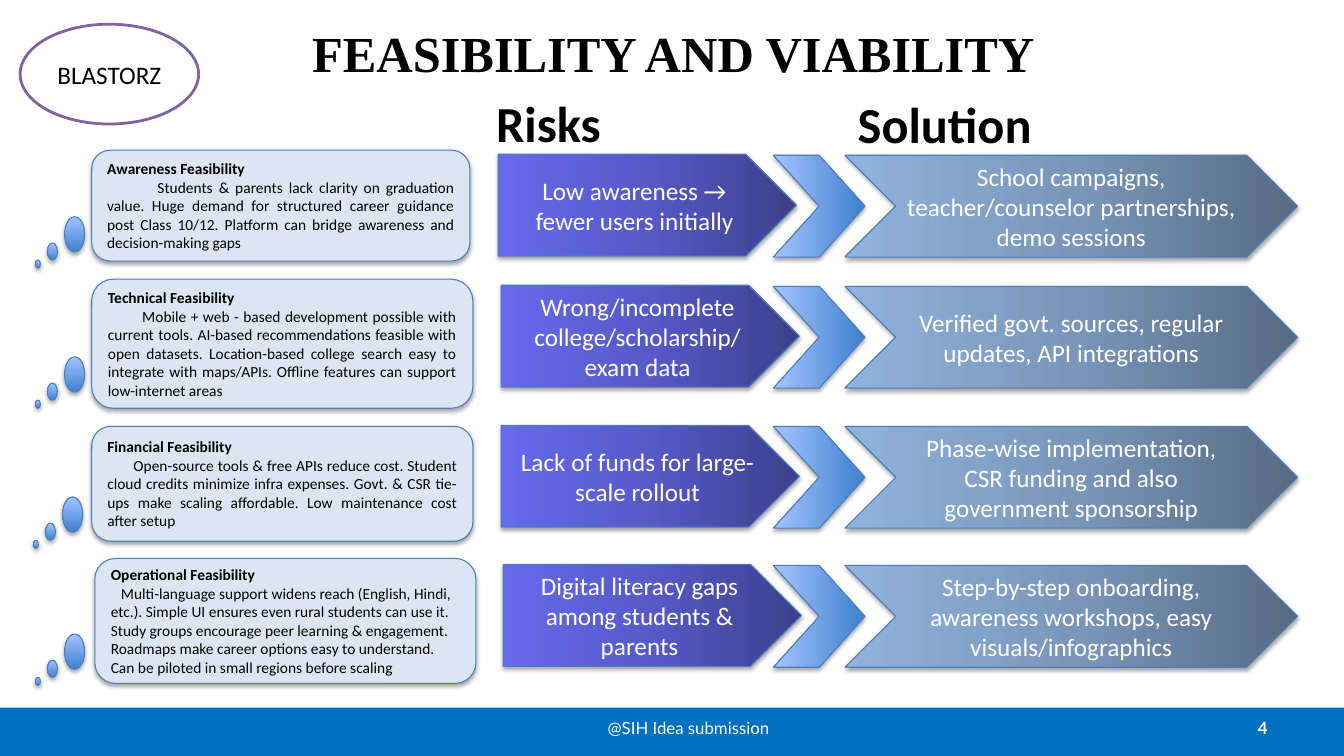
"""Builds the feasibility and viability slide: four feasibility notes, each with its risk and solution."""
from lxml import etree
from pptx import Presentation
from pptx.dml.color import RGBColor
from pptx.enum.shapes import MSO_SHAPE
from pptx.enum.text import MSO_ANCHOR, PP_ALIGN
from pptx.oxml.ns import qn
from pptx.util import Inches, Pt

LEFT, CENTER, RIGHT, JUSTIFY = PP_ALIGN.LEFT, PP_ALIGN.CENTER, PP_ALIGN.RIGHT, PP_ALIGN.JUSTIFY
MIDDLE = MSO_ANCHOR.MIDDLE
RECTANGLE, OVAL, ROUNDED = MSO_SHAPE.RECTANGLE, MSO_SHAPE.OVAL, MSO_SHAPE.ROUNDED_RECTANGLE
PENTAGON, CHEVRON = MSO_SHAPE.PENTAGON, MSO_SHAPE.CHEVRON

BLACK, WHITE = RGBColor(0, 0, 0), RGBColor(255, 255, 255)
FOOTER_BLUE = RGBColor(0x00, 0x70, 0xC0)
PURPLE = RGBColor(0x80, 0x64, 0xA2)
PALE_BLUE = RGBColor(0xDC, 0xE6, 0xF2)
OUTLINE = RGBColor(0x4B, 0x7E, 0xBC)
SKY = [(0, RGBColor(0x3F, 0x80, 0xCE)), (100, RGBColor(0xA4, 0xC4, 0xFF))]
INDIGO = [(0, RGBColor(0x3D, 0x3F, 0x8C)), (50, RGBColor(0x56, 0x59, 0xC7)), (100, RGBColor(0x66, 0x6A, 0xEC))]
STEEL = [(0, RGBColor(0x56, 0x6A, 0x83)), (50, RGBColor(0x7A, 0x97, 0xBA)), (100, RGBColor(0x90, 0xB3, 0xDC))]

BODY_FONT, TITLE_FONT, FOOTER_FONT = "Calibri", "Times New Roman", "Lato"
SLIDE_WIDTH, SLIDE_HEIGHT = 13.33, 7.5
FOOTER_TOP = 7.02
ARROW_HEIGHT = 1.01
RISK_WIDTH = 2.96
LINK_LEFT, LINK_WIDTH = 7.67, 0.91
SOLUTION_LEFT, SOLUTION_WIDTH = 8.38, 4.49
BUBBLES = [(0, 0, 0.2, 0.35), (-0.17, 0.26, 0.1, 0.17), (-0.29, 0.43, 0.05, 0.08)]

ROWS = [
    {
        "heading": "Awareness Feasibility",
        "note": "Students & parents lack clarity on graduation value. Huge demand for structured career guidance "
                "post Class 10/12. Platform can bridge awareness and decision-making gaps",
        "risk": ["Low awareness →", "fewer users initially"],
        "solution": "School campaigns, teacher/counselor partnerships, demo sessions",
        "note_area": (0.91, 1.49, 3.75, 1.1), "indent": 0.5, "align": JUSTIFY,
        "bubble": (0.64, 2.15), "arrow": (4.94, 1.53),
    },
    {
        "heading": "Technical Feasibility",
        "note": "Mobile + web - based development possible with current tools. AI-based recommendations feasible "
                "with open datasets. Location-based college search easy to integrate with maps/APIs. "
                "Offline features can support low-internet areas",
        "risk": ["Wrong/incomplete college/scholarship/", "exam data"],
        "solution": "Verified govt. sources, regular updates, API integrations",
        "note_area": (0.91, 2.77, 3.78, 1.28), "indent": 0.34, "align": JUSTIFY,
        "bubble": (0.64, 3.54), "arrow": (4.97, 2.83),
    },
    {
        "heading": "Financial Feasibility",
        "note": "Open-source tools & free APIs reduce cost. Student cloud credits minimize infra expenses. "
                "Govt. & CSR tie-ups make scaling affordable. Low maintenance cost after setup",
        "risk": ["Lack of funds for large-scale rollout"],
        "solution": "Phase-wise implementation, CSR funding and also government sponsorship",
        "note_area": (0.91, 4.23, 3.78, 1.14), "indent": 0.26, "align": JUSTIFY,
        "bubble": (0.62, 4.93), "arrow": (4.97, 4.22),
    },
    {
        "heading": "Operational Feasibility",
        "note": "Multi-language support widens reach (English, Hindi, etc.). Simple UI ensures even rural students "
                "can use it. Study groups encourage peer learning & engagement. Roadmaps make career options "
                "easy to understand. Can be piloted in small regions before scaling",
        "risk": ["Digital literacy gaps among students & parents"],
        "solution": "Step-by-step onboarding, awareness workshops, easy visuals/infographics",
        "note_area": (0.94, 5.54, 3.78, 1.24), "indent": 0.1, "align": LEFT,
        "bubble": (0.64, 6.29), "arrow": (4.99, 5.6),
    },
]

LABELS = [
    ("FEASIBILITY AND VIABILITY", (0.68, 0, 12, 1.03), CENTER, 36, TITLE_FONT, BLACK, True),
    ("4", (9.56, FOOTER_TOP, 3.11, 0.4), RIGHT, 12, FOOTER_FONT, WHITE, True),
    ("@SIH Idea submission", (5.08, FOOTER_TOP, 3.5, 0.4), CENTER, 12, FOOTER_FONT, WHITE, False),
    ("Risks", (4.2, 0.9, 2.48, 0.62), CENTER, 36, BODY_FONT, BLACK, True),
    ("Solution", (8.13, 0.91, 2.48, 0.62), CENTER, 36, BODY_FONT, BLACK, True),
]


def add_part(parent, tag, **attributes):
    return etree.SubElement(parent, qn(tag), {name: str(value) for name, value in attributes.items()})


def add_color(parent, color):
    return add_part(parent, "a:srgbClr", val=color)


def fill_gradient(shape, stops, angle):
    shape.fill.gradient()
    gradient = shape._element.spPr.find(qn("a:gradFill"))
    for child in list(gradient):
        gradient.remove(child)
    stop_list = add_part(gradient, "a:gsLst")
    for position, color in stops:
        add_color(add_part(stop_list, "a:gs", pos=position * 1000), color)
    add_part(gradient, "a:lin", ang=angle * 60000, scaled=0)


def cast_shadow(shape):
    effects = shape._element.spPr.find(qn("a:effectLst"))
    shadow = add_part(effects, "a:outerShdw", blurRad=Pt(3.1), dist=Pt(1.8), dir=90 * 60000, rotWithShape=0)
    add_part(add_color(shadow, BLACK), "a:alpha", val=35000)


def add_figure(slide, kind, area, fill, line=None, line_width=0.75, angle=180, shadow=True):
    shape = slide.shapes.add_shape(kind, *map(Inches, area))
    shape.shadow.inherit = False
    if isinstance(fill, list):
        fill_gradient(shape, fill, angle)
    else:
        shape.fill.solid()
        shape.fill.fore_color.rgb = fill
    if line is None:
        shape.line.fill.background()
    else:
        shape.line.color.rgb = line
        shape.line.width = Pt(line_width)
    if shadow:
        cast_shadow(shape)
    return shape


def write(box, lines, size, color, font=BODY_FONT):
    frame = box.text_frame
    frame.word_wrap = True
    frame.vertical_anchor = MIDDLE
    for index, (text, align, bold, indent) in enumerate(lines):
        para = frame.add_paragraph() if index else frame.paragraphs[0]
        para.alignment = align
        if indent:
            para._p.get_or_add_pPr().set("indent", str(Inches(indent)))
        span = para.add_run()
        span.text = text
        span.font.name = font
        span.font.size = Pt(size)
        span.font.bold = bold
        span.font.color.rgb = color


def add_row(slide, row):
    note = add_figure(slide, ROUNDED, row["note_area"], PALE_BLUE, OUTLINE)
    write(note, [(row["heading"], LEFT, True, 0), (row["note"], row["align"], False, row["indent"])], 11, BLACK)

    left, top = row["bubble"]
    for across, down, width, height in BUBBLES:
        add_figure(slide, OVAL, (left + across, top + down, width, height), SKY, OUTLINE, angle=270)

    left, top = row["arrow"]
    risk = add_figure(slide, PENTAGON, (left, top, RISK_WIDTH, ARROW_HEIGHT), INDIGO, OUTLINE)
    write(risk, [(line, CENTER, False, 0) for line in row["risk"]], 18, WHITE)
    top += 0.01
    add_figure(slide, CHEVRON, (LINK_LEFT, top, LINK_WIDTH, ARROW_HEIGHT), SKY, OUTLINE)
    solution = add_figure(slide, CHEVRON, (SOLUTION_LEFT, top, SOLUTION_WIDTH, ARROW_HEIGHT), STEEL, OUTLINE)
    write(solution, [(row["solution"], CENTER, False, 0)], 18, WHITE)


def main():
    deck = Presentation()
    deck.slide_width, deck.slide_height = Inches(SLIDE_WIDTH), Inches(SLIDE_HEIGHT)
    page = deck.slides.add_slide(deck.slide_layouts[6])

    footer_area = (0, FOOTER_TOP, SLIDE_WIDTH, SLIDE_HEIGHT - FOOTER_TOP)
    add_figure(page, RECTANGLE, footer_area, FOOTER_BLUE, shadow=False)
    team = add_figure(page, OVAL, (0.2, 0.24, 1.77, 0.99), WHITE, PURPLE, 2, shadow=False)
    write(team, [("BLASTORZ", CENTER, False, 0)], 18, BLACK)

    for row in ROWS:
        add_row(page, row)
    for text, area, align, size, font, color, bold in LABELS:
        box = page.shapes.add_textbox(*map(Inches, area))
        write(box, [(text, align, bold, 0)], size, color, font)

    deck.save("out.pptx")


if __name__ == "__main__":
    main()
